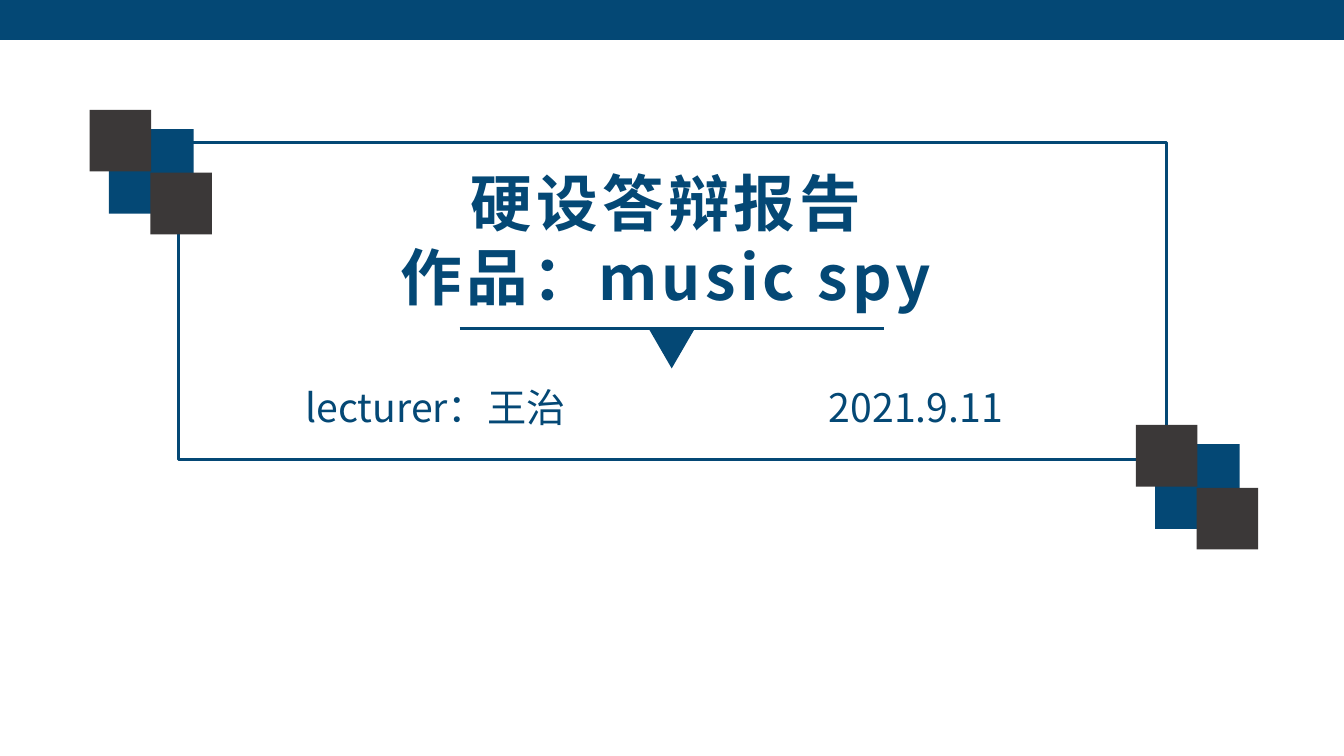
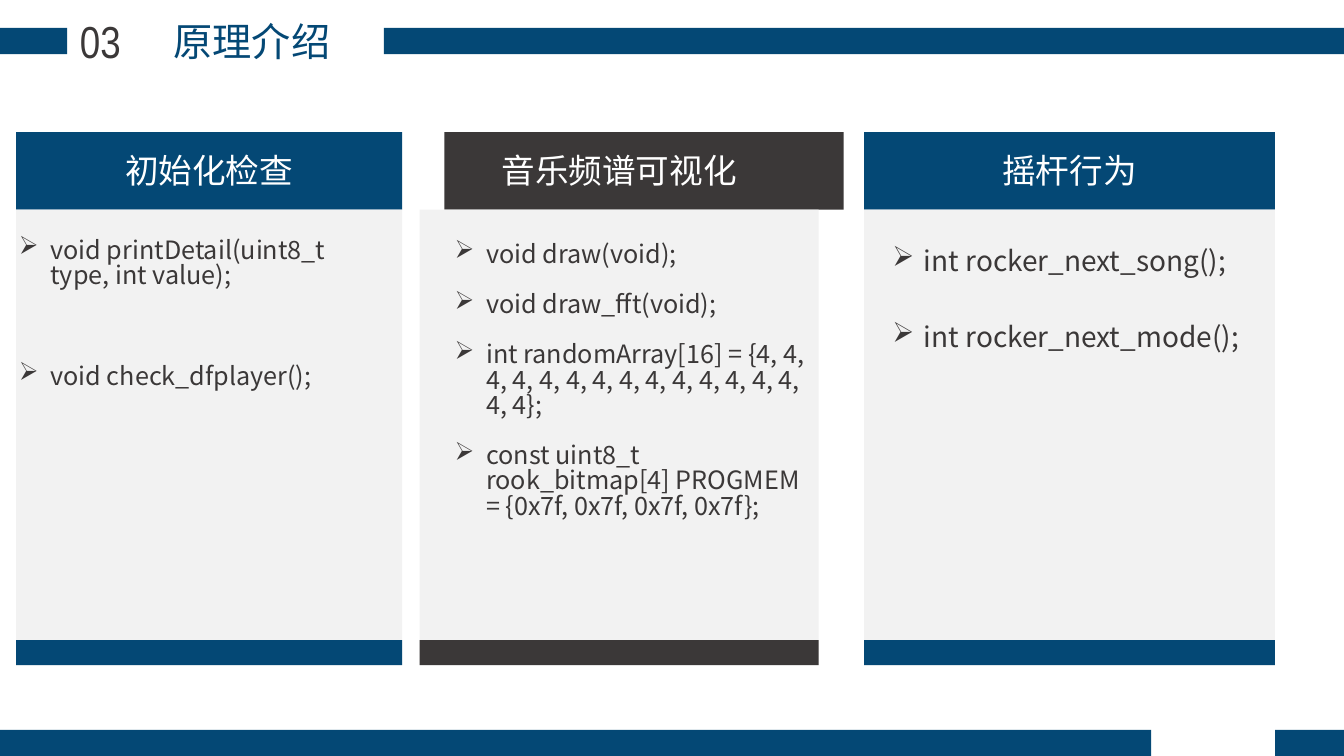
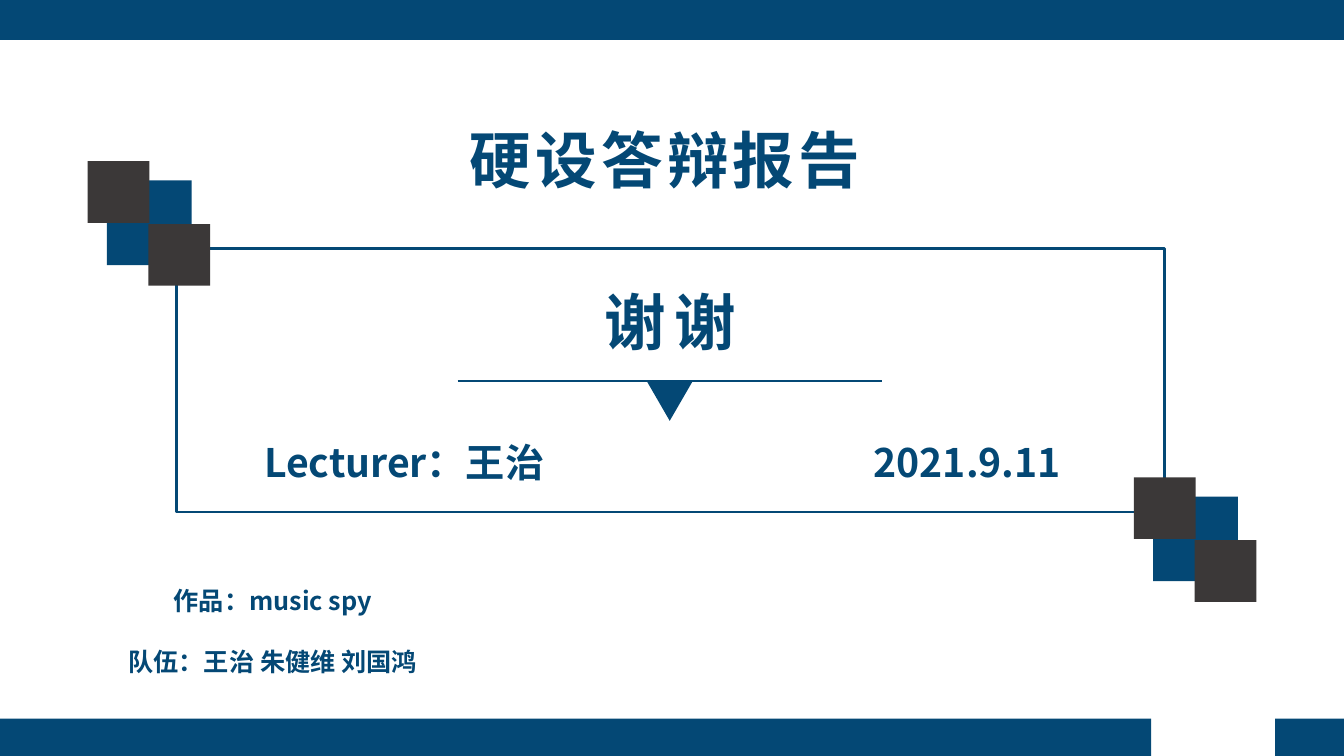
from collections import namedtuple
from dataclasses import dataclass

import lxml.etree
import pptx
import pptx.dml.color
import pptx.enum.shapes
import pptx.enum.text
import pptx.oxml.ns
import pptx.util

Pt = pptx.util.Pt
SHAPE = pptx.enum.shapes.MSO_SHAPE
ALIGN = pptx.enum.text.PP_ALIGN
qn = pptx.oxml.ns.qn

Box = namedtuple("Box", "left top width height")
Column = namedtuple("Column", "label color body header_left list_box size gap items")


@dataclass(frozen=True)
class Theme:
    """Colours, fonts and sizes shared by the slides."""

    blue: str = "044875"
    dark: str = "3B3838"
    pale: str = "F2F2F2"
    white: str = "FFFFFF"
    font: str = "Noto Sans CJK SC"
    number_font: str = "Arial Narrow"
    display: int = 44
    number: int = 32
    heading: int = 28
    label: int = 24
    large_body: int = 20
    body: int = 18
    rule: int = 2
    width: int = 960
    height: int = 540
    footer_gap: tuple = (822.2, 910.8)


THEME = Theme()


def rgb(color):
    """Return the colour object of a hex value."""
    return pptx.dml.color.RGBColor.from_string(color)


def apply(target, formats):
    """Set each attribute of the target from a dict."""
    for name, value in formats.items():
        setattr(target, name, value)


def add_block(slide, box, fill=None, line=None, kind=SHAPE.RECTANGLE):
    """Add a flat shape with an optional fill and outline."""
    block = slide.shapes.add_shape(kind, *map(Pt, box))
    block.shadow.inherit = False
    if fill:
        block.fill.solid()
        block.fill.fore_color.rgb = rgb(fill)
    else:
        block.fill.background()
    if line:
        block.line.color.rgb = rgb(line)
        block.line.width = Pt(THEME.rule)
    else:
        block.line.fill.background()


def add_bullet(paragraph):
    """Give a paragraph an arrow bullet with a hanging indent."""
    properties = paragraph._p.get_or_add_pPr()
    properties.set("marL", str(Pt(22.5)))
    properties.set("indent", str(-Pt(22.5)))
    lxml.etree.SubElement(properties, qn("a:buChar")).set("char", "➢")


def add_text(slide, box, lines, size, color=THEME.blue, font=THEME.font, bold=False,
             tracking=0, gap=0, leading=None, bullets=False, wrap=True):
    """Add a text box with one paragraph per line."""
    frame = slide.shapes.add_textbox(*map(Pt, box)).text_frame
    frame.word_wrap = wrap
    for index, line in enumerate(lines):
        paragraph = frame.add_paragraph() if index else frame.paragraphs[0]
        if bullets:
            add_bullet(paragraph)
        formats = {"alignment": ALIGN.LEFT if bullets else ALIGN.CENTER}
        if leading:
            formats["line_spacing"] = Pt(leading)
        if index and gap:
            formats["space_before"] = Pt(gap)
        apply(paragraph, formats)
        run = paragraph.add_run()
        run.text = line
        apply(run.font, {"size": Pt(size), "bold": bold, "name": font})
        run.font.color.rgb = rgb(color)
        properties = run._r.get_or_add_rPr()
        if tracking:
            properties.set("spc", str(tracking * 100))
        east_asian = lxml.etree.Element(qn("a:ea"))
        east_asian.set("typeface", font)
        properties.find(qn("a:latin")).addnext(east_asian)


def add_top_band(slide):
    """Draw the full-width band at the top edge."""
    add_block(slide, Box(0, 0, THEME.width, 28.5), THEME.blue)


def add_footer(slide, height):
    """Draw the split band along the bottom edge."""
    top = THEME.height - height
    start, end = THEME.footer_gap
    add_block(slide, Box(0, top, start, height), THEME.blue)
    add_block(slide, Box(end, top, THEME.width - end, height), THEME.blue)


def add_squares(slide, left, top):
    """Draw a corner ornament of overlapping squares."""
    for dx, dy, side, color in ((13.7, 13.7, 60.5, THEME.blue),
                                (0, 0, 44, THEME.dark),
                                (43.4, 44.9, 44, THEME.dark)):
        add_block(slide, Box(left + dx, top + dy, side, side), color)


def add_divider(slide, left, top, width):
    """Draw a rule with a downward triangle at its middle."""
    rule = slide.shapes.add_connector(
        pptx.enum.shapes.MSO_CONNECTOR.STRAIGHT,
        Pt(left), Pt(top), Pt(left + width), Pt(top))
    rule.line.color.rgb = rgb(THEME.blue)
    rule.line.width = Pt(THEME.rule)
    lxml.etree.SubElement(rule._element.spPr, qn("a:effectLst"))
    add_block(slide, Box(left + width / 2 - 16.2, top + 0.5, 32.4, 28), THEME.blue,
              kind=SHAPE.FLOWCHART_MERGE)


def add_title_frame(slide, frame, ornament_rise):
    """Draw the outlined frame with its ornaments and divider."""
    right, bottom = frame.left + frame.width, frame.top + frame.height
    add_block(slide, frame, line=THEME.blue)
    add_squares(slide, right - 21.6, bottom - 24.7)
    add_squares(slide, frame.left - 63.3, frame.top - ornament_rise)
    add_divider(slide, frame.left + 200.9, bottom - 93.6, 303)


def add_heading(slide, number, title):
    """Draw the numbered heading between its two bands."""
    add_block(slide, Box(0, 20, 48, 18.7), THEME.blue)
    add_block(slide, Box(274.3, 20, THEME.width - 274.3, 18.7), THEME.blue)
    add_text(slide, Box(50.4, 8.6, 259.2, 41), [title], THEME.heading)
    add_text(slide, Box(43.2, 6.5, 56.9, 46), [number], THEME.number,
             THEME.dark, THEME.number_font)


def add_column(slide, column):
    """Draw a panel with header, foot strip and bulleted list."""
    body = column.body
    header = Box(column.header_left, body.top - 55.4, body.width, 55.4)
    foot = Box(body.left, body.top + body.height - 18, body.width, 18)
    add_block(slide, header, column.color)
    add_block(slide, body, THEME.pale)
    add_block(slide, foot, column.color)
    add_text(slide, Box(body.left + 12.2, header.top + 9.4, body.width - 24.4, 36),
             [column.label], THEME.label, THEME.white)
    dx, dy, width, height = column.list_box
    add_text(slide, Box(body.left + dx, body.top + dy, width, height), column.items,
             column.size, THEME.dark, gap=column.gap, leading=18, bullets=True)


def build_cover(slide):
    """Build the opening slide."""
    add_title_frame(slide, Box(127.4, 101.5, 705.6, 226.8), 23)
    add_text(slide, Box(126.7, 114.5, 698.4, 113.8), ["硬设答辩报告", "作品：music spy"],
             THEME.display, bold=True, tracking=3)
    add_text(slide, Box(194.4, 270, 233.3, 41), ["lecturer：王治"], THEME.heading)
    add_text(slide, Box(509.8, 270, 288.7, 41), ["2021.9.11"], THEME.heading)
    add_top_band(slide)


def build_principles(slide):
    """Build the three-column slide on how the work functions."""
    add_heading(slide, "03", "原理介绍")
    add_footer(slide, 18.7)
    top, height = 149.8, 325.4
    columns = (
        Column("初始化检查", THEME.blue, Box(11.5, top, 275.8, height), 11.5,
               Box(-5, 17.3, 278.6, 116), THEME.body, 54,
               ["void printDetail(uint8_t type, int value);",
                "void check_dfplayer();"]),
        Column("音乐频谱可视化", THEME.dark, Box(299.7, top, 285.1, height), 317.5,
               Box(18, 20.2, 267.8, 225.4), THEME.body, 18,
               ["void draw(void);",
                "void draw_fft(void);",
                "int randomArray[16] = {4, 4, 4, 4, 4, 4, 4, 4, 4, 4, 4, 4, 4, 4, 4, 4};",
                "const uint8_t rook_bitmap[4] PROGMEM = {0x7f, 0x7f, 0x7f, 0x7f};"]),
        Column("摇杆行为", THEME.blue, Box(617.3, top, 293.3, height), 617.3,
               Box(13, 26.6, 268.6, 80), THEME.large_body, 36,
               ["int rocker_next_song();",
                "int rocker_next_mode();"]),
    )
    for column in columns:
        add_column(slide, column)


def build_closing(slide):
    """Build the thank-you slide."""
    add_title_frame(slide, Box(126, 177.8, 705.6, 187.9), 62.6)
    add_text(slide, Box(157, 199.4, 643.7, 60.5), ["谢谢"], THEME.display,
             bold=True, tracking=6)
    add_text(slide, Box(172.1, 309.6, 233.3, 41), ["Lecturer：王治"], THEME.heading, bold=True)
    add_text(slide, Box(599.8, 309.6, 182.2, 41), ["2021.9.11"], THEME.heading, bold=True)
    add_top_band(slide)
    add_footer(slide, 26.6)
    add_text(slide, Box(35.3, 414.7, 319, 94.3),
             ["作品：music spy", "队伍：王治 朱健维 刘国鸿"], THEME.body, bold=True, gap=21.6)
    add_text(slide, Box(326.9, 83.5, 296.6, 60.5), ["硬设答辩报告"], THEME.display,
             bold=True, tracking=3, wrap=False)


def main():
    """Build and save the presentation."""
    deck = pptx.Presentation()
    apply(deck, {"slide_width": Pt(THEME.width), "slide_height": Pt(THEME.height)})
    for build in (build_cover, build_principles, build_closing):
        build(deck.slides.add_slide(deck.slide_layouts[6]))
    deck.save("out.pptx")


if __name__ == "__main__":
    main()
